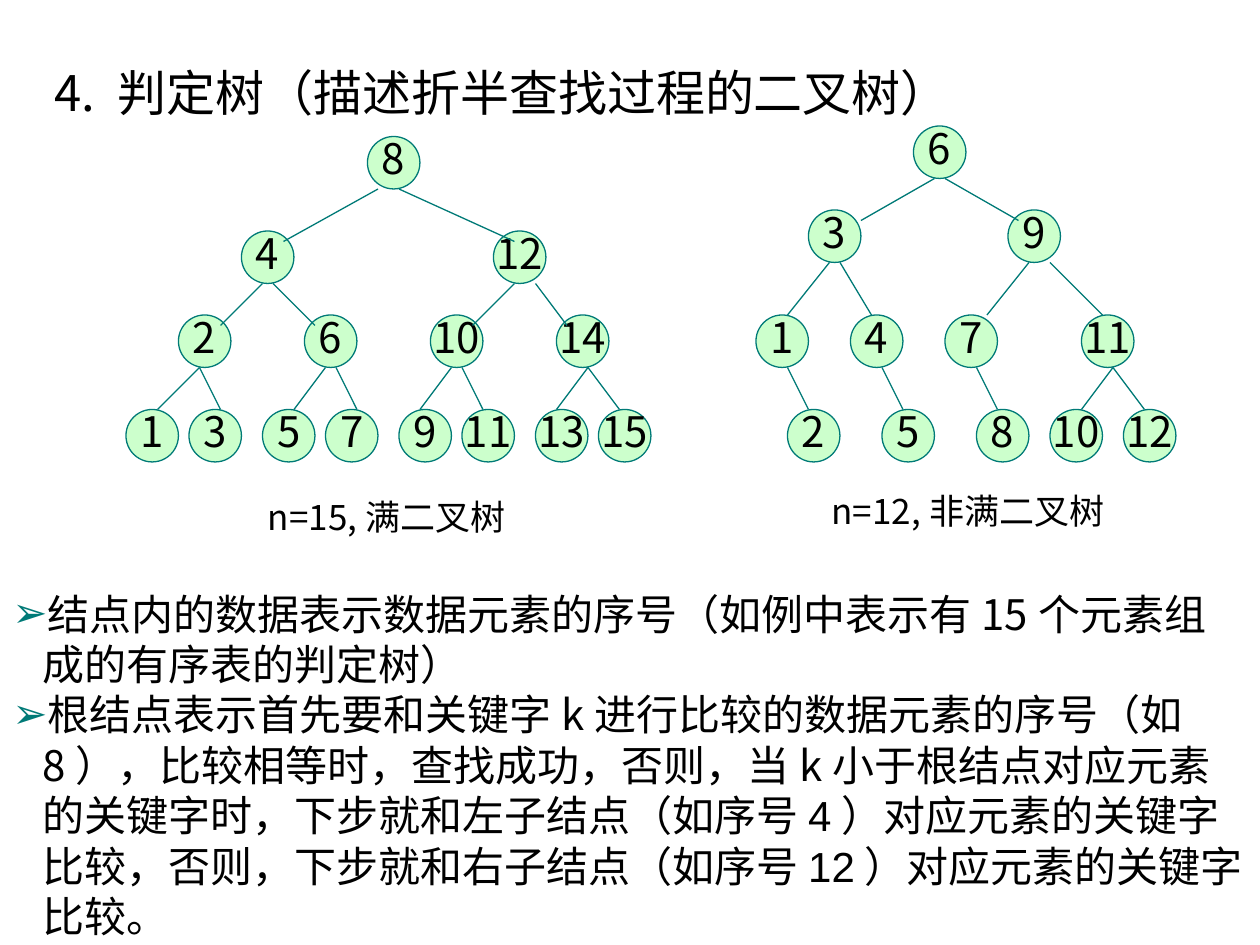
from dataclasses import dataclass
from typing import NamedTuple, Optional

from lxml import etree
from pptx import Presentation
from pptx.dml.color import RGBColor
from pptx.enum.shapes import MSO_CONNECTOR, MSO_SHAPE
from pptx.enum.text import MSO_ANCHOR, PP_ALIGN
from pptx.oxml.ns import qn
from pptx.util import Pt

STRAIGHT = MSO_CONNECTOR.STRAIGHT
OVAL = MSO_SHAPE.OVAL
MIDDLE = MSO_ANCHOR.MIDDLE
CENTER = PP_ALIGN.CENTER
LEFT = PP_ALIGN.LEFT


@dataclass(frozen=True)
class Theme:
    text: RGBColor = RGBColor(0x00, 0x00, 0x00)
    node_fill: RGBColor = RGBColor(0xCC, 0xFF, 0xCC)
    accent: RGBColor = RGBColor(0x00, 0x7A, 0x77)
    font: str = "Noto Sans CJK SC"
    latin_font: str = "Arial"
    title_size: int = 28
    body_size: int = 24
    caption_size: int = 20
    line_width: float = 0.75
    line_height: float = 1.2
    node_line_spacing: float = 0.8
    bullet_indent: int = 17


THEME = Theme()
NODE_SIZE = 30


class Run(NamedTuple):
    text: str
    font: str = THEME.font


class Node(NamedTuple):
    """A tree node; its branch leaves the parent at exit_x and arrives at entry_x."""
    label: int
    left: float
    exit_x: Optional[float] = None
    entry_x: Optional[float] = None


@dataclass(frozen=True)
class Tree:
    """Nodes are keyed by heap position: the parent of n is n // 2."""
    level_tops: tuple[float, ...]
    entry_depths: tuple[float, ...]
    nodes: dict[int, Node]


FULL_TREE = Tree((78, 132, 180, 234), (0, 6, 6, 0), {
    1: Node(8, 210),
    2: Node(4, 138, 216, 162),
    3: Node(12, 282, 228, 294),
    4: Node(2, 102, 150, 126),
    5: Node(6, 174, 156, 180),
    6: Node(10, 246, 294, 270),
    7: Node(14, 318, 306, 324),
    8: Node(1, 72, 114, 90),
    9: Node(3, 108, 114, 126),
    10: Node(5, 150, 186, 168),
    11: Node(7, 186, 192, 204),
    12: Node(9, 228, 258, 240),
    13: Node(11, 264, 264, 276),
    14: Node(13, 306, 336, 318),
    15: Node(15, 342, 336, 354),
})
PARTIAL_TREE = Tree((72, 120, 180, 234), (0, 6, 0, 0), {
    1: Node(6, 522),
    2: Node(3, 462, 534, 492),
    3: Node(9, 576, 540, 582),
    4: Node(1, 432, 474, 450),
    5: Node(4, 486, 480, 498),
    6: Node(7, 540, 588, 564),
    7: Node(11, 618, 600, 630),
    9: Node(2, 450, 450, 462),
    11: Node(5, 504, 504, 516),
    13: Node(8, 558, 558, 570),
    14: Node(10, 600, 636, 618),
    15: Node(12, 642, 636, 654),
})
BODY = (
    (Run("结点内的数据表示数据元素的序号（如例中表示有15个元素组成的有序表的判定树）"),),
    (
        Run("根结点表示首先要和关键字k进行比较的"),
        Run("数据元素", THEME.latin_font),
        Run("的序号（如8），比较相等时，查找成功，否则，当k小于根结点对应元素的"),
        Run("关键字时，下步就和左子结点（如序号4）对应元素的关键字比较，"
            "否则，下步就和右子结点（如序号12）对应元素的关键字比较。", THEME.latin_font),
    ),
)


def add_bullet(paragraph) -> None:
    properties = paragraph._p.get_or_add_pPr()
    properties.set("marL", str(Pt(THEME.bullet_indent)))
    properties.set("indent", str(-Pt(THEME.bullet_indent)))
    color = etree.SubElement(properties, qn("a:buClr"))
    etree.SubElement(color, qn("a:srgbClr")).set("val", str(THEME.accent))
    etree.SubElement(properties, qn("a:buFont")).set("typeface", THEME.latin_font)
    etree.SubElement(properties, qn("a:buChar")).set("char", "➢")


def write_text(paragraph, runs: tuple[Run, ...], *, size: int, spacing,
               alignment=LEFT, bullet: bool = False) -> None:
    if bullet:
        add_bullet(paragraph)
    paragraph.alignment = alignment
    paragraph.line_spacing = spacing
    for item in runs:
        run = paragraph.add_run()
        run.text = item.text
        run.font.size = Pt(size)
        run.font.name = item.font
        run.font.color.rgb = THEME.text
        east_asian = etree.SubElement(run._r.get_or_add_rPr(), qn("a:ea"))
        east_asian.set("typeface", THEME.font)


def add_text_box(slide, left: float, top: float, width: float, height: float,
                 paragraphs: tuple[tuple[Run, ...], ...], *, size: int,
                 bullet: bool = False) -> None:
    box = slide.shapes.add_textbox(Pt(left), Pt(top), Pt(width), Pt(height))
    frame = box.text_frame
    frame.word_wrap = True
    for index, runs in enumerate(paragraphs):
        paragraph = frame.add_paragraph() if index else frame.paragraphs[0]
        write_text(paragraph, runs, size=size, bullet=bullet,
                   spacing=Pt(size * THEME.line_height))


def add_node(slide, node: Node, top: float) -> None:
    shape = slide.shapes.add_shape(OVAL, Pt(node.left), Pt(top), Pt(NODE_SIZE), Pt(NODE_SIZE))
    shape.shadow.inherit = False
    shape.fill.solid()
    shape.fill.fore_color.rgb = THEME.node_fill
    shape.line.color.rgb = THEME.accent
    shape.line.width = Pt(THEME.line_width)
    frame = shape.text_frame
    frame.word_wrap = False
    frame.vertical_anchor = MIDDLE
    write_text(frame.paragraphs[0], (Run(str(node.label)),), size=THEME.body_size,
               spacing=THEME.node_line_spacing, alignment=CENTER)


def add_branch(slide, start_x: float, start_y: float, end_x: float, end_y: float) -> None:
    line = slide.shapes.add_connector(STRAIGHT, Pt(start_x), Pt(start_y), Pt(end_x), Pt(end_y))
    line.line.color.rgb = THEME.accent
    line.line.width = Pt(THEME.line_width)
    etree.SubElement(line._element.spPr, qn("a:effectLst"))


def draw_tree(slide, tree: Tree) -> None:
    for position, node in tree.nodes.items():
        add_node(slide, node, tree.level_tops[position.bit_length() - 1])
    for position, node in tree.nodes.items():
        if node.exit_x is None:
            continue
        level = position.bit_length() - 1
        add_branch(slide, node.exit_x, tree.level_tops[level - 1] + NODE_SIZE,
                   node.entry_x, tree.level_tops[level] + tree.entry_depths[level])


def main() -> None:
    presentation = Presentation()
    presentation.slide_width, presentation.slide_height = Pt(720), Pt(540)
    slide = presentation.slides.add_slide(presentation.slide_layouts[6])
    add_text_box(slide, 24, 32, 552, 42, ((Run("4. 判定树（描述折半查找过程的二叉树）"),),),
                 size=THEME.title_size)
    draw_tree(slide, PARTIAL_TREE)
    draw_tree(slide, FULL_TREE)
    add_text_box(slide, 468, 276, 174, 36, ((Run("n=12,非满二叉树"),),), size=THEME.caption_size)
    add_text_box(slide, 146, 279.5, 151, 32, ((Run("n=15,满二叉树"),),), size=THEME.caption_size)
    add_text_box(slide, 0, 332.5, 720, 180, BODY, size=THEME.body_size, bullet=True)
    presentation.save("out.pptx")


if __name__ == "__main__":
    main()
